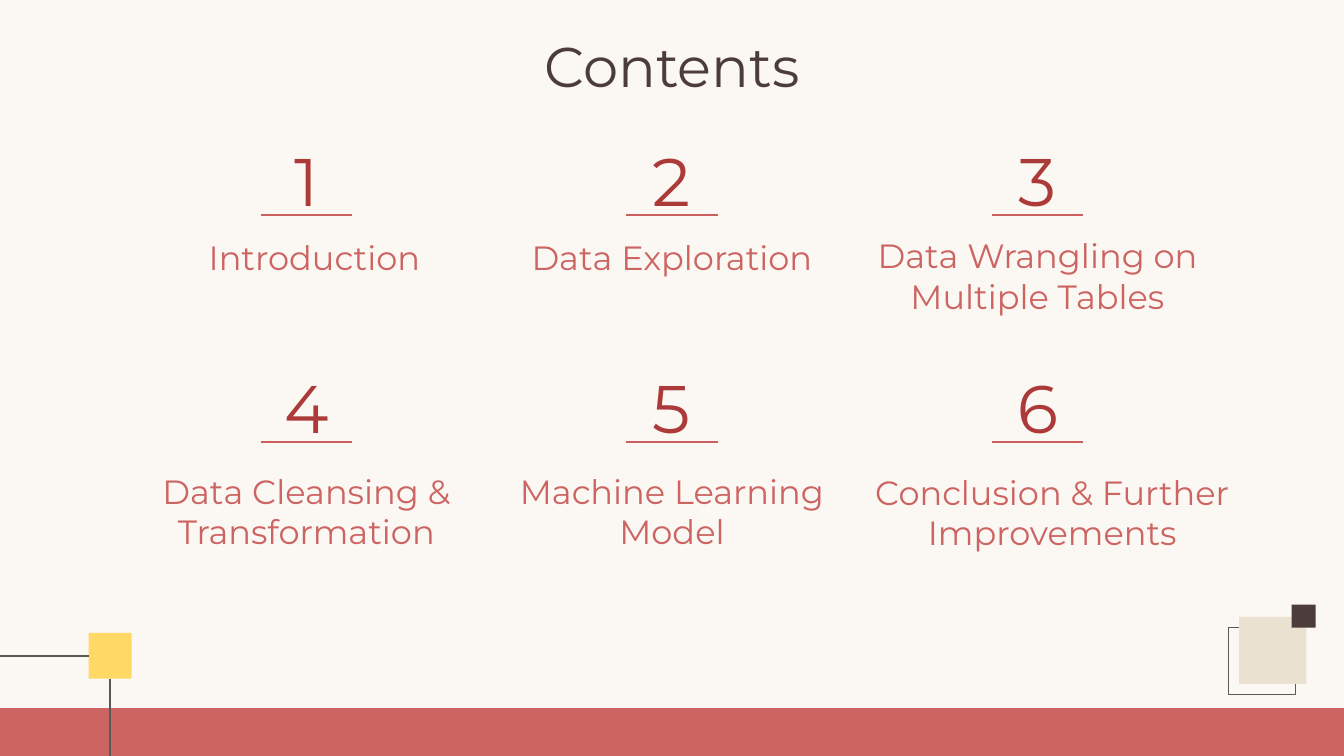
from lxml import etree
from pptx import Presentation
from pptx.dml.color import RGBColor
from pptx.enum.shapes import MSO_CONNECTOR as CONN, MSO_SHAPE as SHAPE
from pptx.enum.text import MSO_ANCHOR as ANCHOR, PP_ALIGN as ALIGN
from pptx.oxml.ns import qn
from pptx.util import Inches, Pt

FONT = "Montserrat"
CORAL, RED, RULE = "CC6462", "AB3A38", "CA5F5D"
BROWN, GREY = "4D3C3C", "595959"
W = 10
H = W * 9 / 16


def rgb(value):
    return RGBColor.from_string(value)


def write(sp, box, text, size, color, inset=0.1, anchor=ANCHOR.MIDDLE):
    sp.left, sp.top, sp.width, sp.height = map(Inches, box)
    tf = sp.text_frame
    tf.word_wrap = True
    tf.vertical_anchor = anchor
    tf.margin_left = tf.margin_right = Inches(0.1)
    tf.margin_top = tf.margin_bottom = Inches(inset)
    p = tf.paragraphs[0]
    p.alignment = ALIGN.CENTER
    r = p.add_run()
    r.text = text
    r.font.name, r.font.size = FONT, Pt(size)
    r.font.color.rgb = rgb(color)
    return p


prs = Presentation()
prs.slide_width, prs.slide_height = Inches(W), Inches(H)
s = prs.slides.add_slide(prs.slide_layouts[5])
s.background.fill.solid()
s.background.fill.fore_color.rgb = rgb("FBF8F4")

# Blocks: bottom band, yellow square, stacked squares at the right
blocks = [
    (0, 5.27, W, 0.37, CORAL, None),
    (0.66, 4.71, 0.32, 0.34, "FFD966", None),
    (9.14, 4.67, 0.5, 0.5, None, GREY),
    (9.22, 4.59, 0.5, 0.5, "EBE1D0", None),
    (9.61, 4.5, 0.18, 0.17, BROWN, None),
]
shapes = []
for *box, fill, line in blocks:
    sp = s.shapes.add_shape(SHAPE.RECTANGLE, *map(Inches, box))
    sp.shadow.inherit = False
    if fill:
        sp.fill.solid()
        sp.fill.fore_color.rgb = rgb(fill)
    else:
        sp.fill.background()
    if line:
        sp.line.color.rgb = rgb(line)
        sp.line.width = Pt(0.75)
    else:
        sp.line.fill.background()
    shapes.append(sp)
yellow = shapes[1]

# Title
write(s.shapes.title, (0.34, 0.17, 9.32, 0.63), "Contents", 30, BROWN)

# Contents grid: three columns around the middle, two rows
COL_STEP, ROW_0, ROW_STEP = 2.72, 0.99, 1.69
LABEL_W, NUMBER_W, RULE_W = 3.13, 0.9, 0.68
topics = [  # label, sideways nudge, top, height
    ("Introduction", 0, 1.6, 0.63),
    ("Data Exploration", 0, 1.7, 0.43),
    ("Data Wrangling on Multiple Tables", 0, 1.66, 0.78),
    ("Data Cleansing & Transformation", 0, 3.47, 0.67),
    ("Machine Learning Model", 0, 3.47, 0.67),
    ("Conclusion & Further Improvements", 0.11, 3.3, 1.02),
]
rules = []
for i, (label, nudge, top, height) in enumerate(topics):
    center = W / 2 + (i % 3 - 1) * COL_STEP
    row_top = ROW_0 + i // 3 * ROW_STEP
    box = (center + nudge - LABEL_W / 2, top, LABEL_W, height)
    p = write(s.shapes.add_textbox(0, 0, 0, 0), box, label, 18, CORAL)
    if i == 0:  # hanging indent
        pPr = p._p.get_or_add_pPr()
        pPr.set("marL", str(Inches(0.5)))
        pPr.set("indent", str(Inches(-0.38)))
    box = (center - NUMBER_W / 2, row_top, NUMBER_W, 0.71)
    write(s.shapes.add_textbox(0, 0, 0, 0), box, str(i + 1), 36, RED, 0.05, ANCHOR.TOP)
    y = row_top + 0.61
    rules.append((center - RULE_W / 2, y, center + RULE_W / 2, y, RULE))

# Lines: number rules and the two leading to the yellow square
leads = [(0, 4.88, 0.66, 4.88, GREY), (0.82, H, 0.82, 5.05, GREY)]
lines = []
for *ends, color in rules + leads:
    cx = s.shapes.add_connector(CONN.STRAIGHT, *map(Inches, ends))
    cx.line.color.rgb = rgb(color)
    cx.line.width = Pt(0.75)
    etree.SubElement(cx._element.spPr, qn("a:effectLst"))
    lines.append(cx)
lines[-2].end_connect(yellow, 1)
lines[-1].end_connect(yellow, 2)

prs.save("out.pptx")
